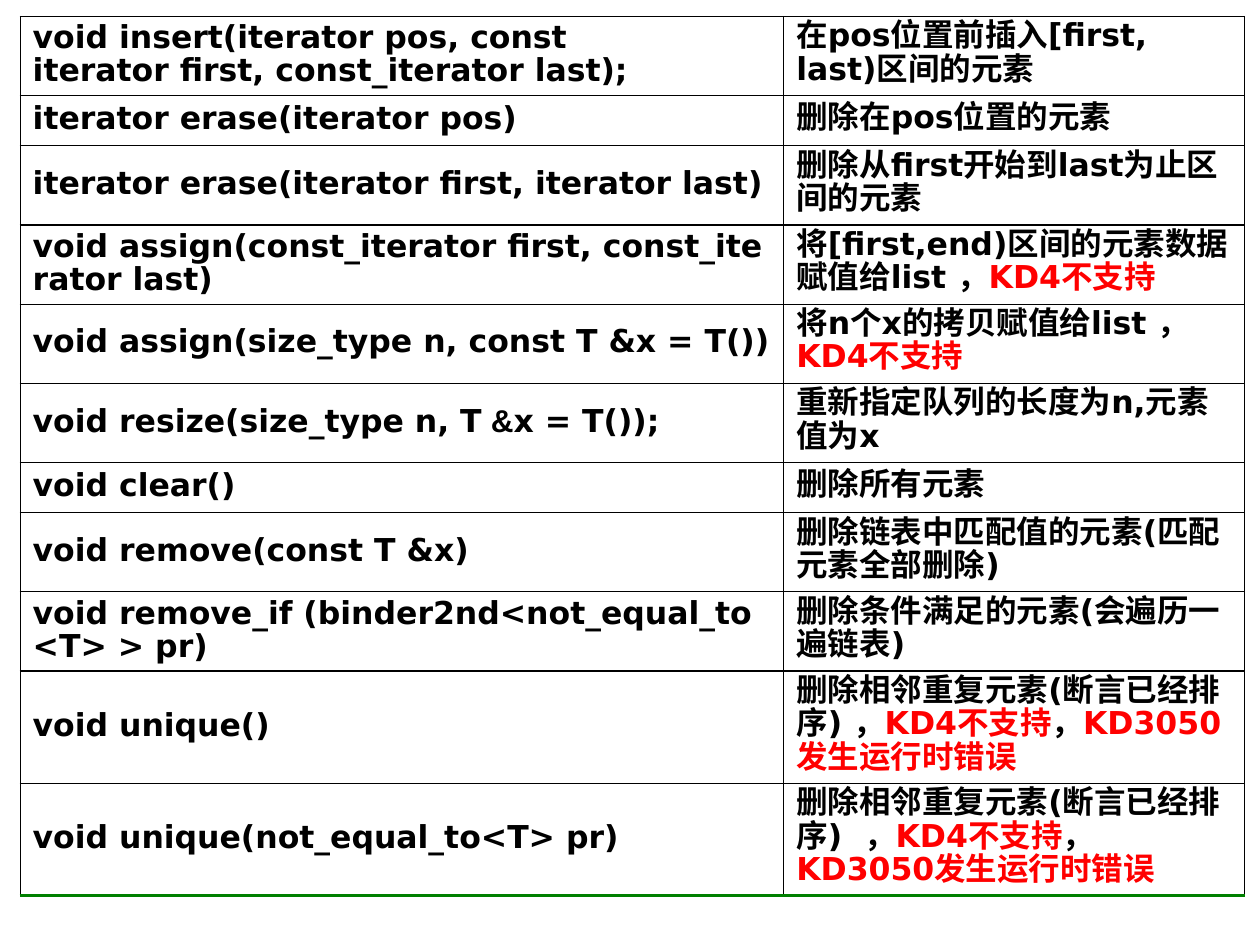
from lxml import etree
from pptx import Presentation
from pptx.dml.color import RGBColor
from pptx.enum import text
from pptx.oxml.ns import qn
from pptx.util import Inches, Pt

BLACK, RED, GREEN, WHITE = "000000", "FF0000", "008000", "FFFFFF"
LEAD = 19  # line spacing in points
LACKS = ("KD4不支持", {"color": RED})
CRASH = ("KD3050发生运行时错误", {"color": RED})

# Each row: line count, signature runs, meaning runs; "~" is a no-break space.
ROWS = [
    (2, ["void~insert(iterator~pos, const iterator~first, const_iterator~last);"],
     ["在pos位置前插入[first, last)区间的元素"]),
    (1, ["iterator~erase(iterator~pos)"], ["删除在pos位置的元素"]),
    (2, ["iterator~erase(iterator~first, iterator~last)"],
     ["删除从first开始到last为止区间的元素"]),
    (2, ["void~assign(const_iterator~first,~const_iterator~last)"],
     ["将[first,end)区间的元素数据赋值给list ，", LACKS]),
    (2, ["void~assign(size_type~n,~const~T &x~=~T())"],
     ["将n个x的拷贝赋值给list ，", LACKS]),
    (2, ["void~resize(size_type~n,~T", ("~&", {"font": "Arial"}), "x~=~T());"],
     ["重新指定队列的长度为n,元素值为x"]),
    (1, ["void~clear()"], ["删除所有元素"]),
    (2, ["void~remove(const~T &x)"], ["删除链表中匹配值的元素(匹配元素全部删除)"]),
    (2, ["void~remove_if~(binder2nd<not_equal_to<T>~>~pr)"],
     ["删除条件满足的元素(会遍历一遍链表)~"]),
    (3, ["void~unique()"],
     ["删除相邻重复元素(断言已经排序)~，", LACKS, "，", CRASH]),
    (3, ["void~unique(not_equal_to<T>~pr)"],
     ["删除相邻重复元素(断言已经排序)~ ，", LACKS, "，", CRASH]),
]


def rgb(code):
    return RGBColor.from_string(code)


def add_run(para, words, color=BLACK, font="DejaVu Sans", size=18, bold=True):
    run = para.add_run()
    run.text = words.replace("~", chr(160))
    run.font.name, run.font.size, run.font.bold = font, Pt(size), bold
    run.font.color.rgb = rgb(color)


def set_edge(cell, side, color=BLACK, width=0.75):
    """Draw one cell border; side is L, R, T or B. Call before the fill is set."""
    props = cell._tc.get_or_add_tcPr()
    line = etree.SubElement(props, qn(f"a:ln{side}"), w=str(int(Pt(width))))
    fill = etree.SubElement(line, qn("a:solidFill"))
    etree.SubElement(fill, qn("a:srgbClr"), val=color)


def fill_cell(cell, runs, last):
    for side in "LRT":
        set_edge(cell, side)
    if last:
        set_edge(cell, "B", GREEN, 2)
    else:
        set_edge(cell, "B")
    cell.fill.solid()
    cell.fill.fore_color.rgb = rgb(WHITE)
    cell.vertical_anchor = text.MSO_ANCHOR.MIDDLE
    para = cell.text_frame.paragraphs[0]
    para.line_spacing = Pt(LEAD)
    for item in runs:
        words, style = (item, {}) if isinstance(item, str) else item
        add_run(para, words, **style)


def add_grid(slide):
    frame = slide.shapes.add_table(len(ROWS), 2, Inches(0.16), Inches(0.13),
                                   Inches(9.72), Inches(6.98))
    table = frame.table
    table.first_row = table.horz_banding = False
    for col, width in zip(table.columns, (6.06, 3.66)):
        col.width = Inches(width)
    for i, (lines, *cells) in enumerate(ROWS):
        table.rows[i].height = Inches(max(0.4, 0.1 + lines * LEAD / 72))
        for j, runs in enumerate(cells):
            fill_cell(table.cell(i, j), runs, i == len(ROWS) - 1)


def main():
    deck = Presentation()
    deck.slide_width, deck.slide_height = Inches(10), Inches(7.5)
    add_grid(deck.slides.add_slide(deck.slide_layouts[6]))
    deck.save("out.pptx")


if __name__ == "__main__":
    main()
